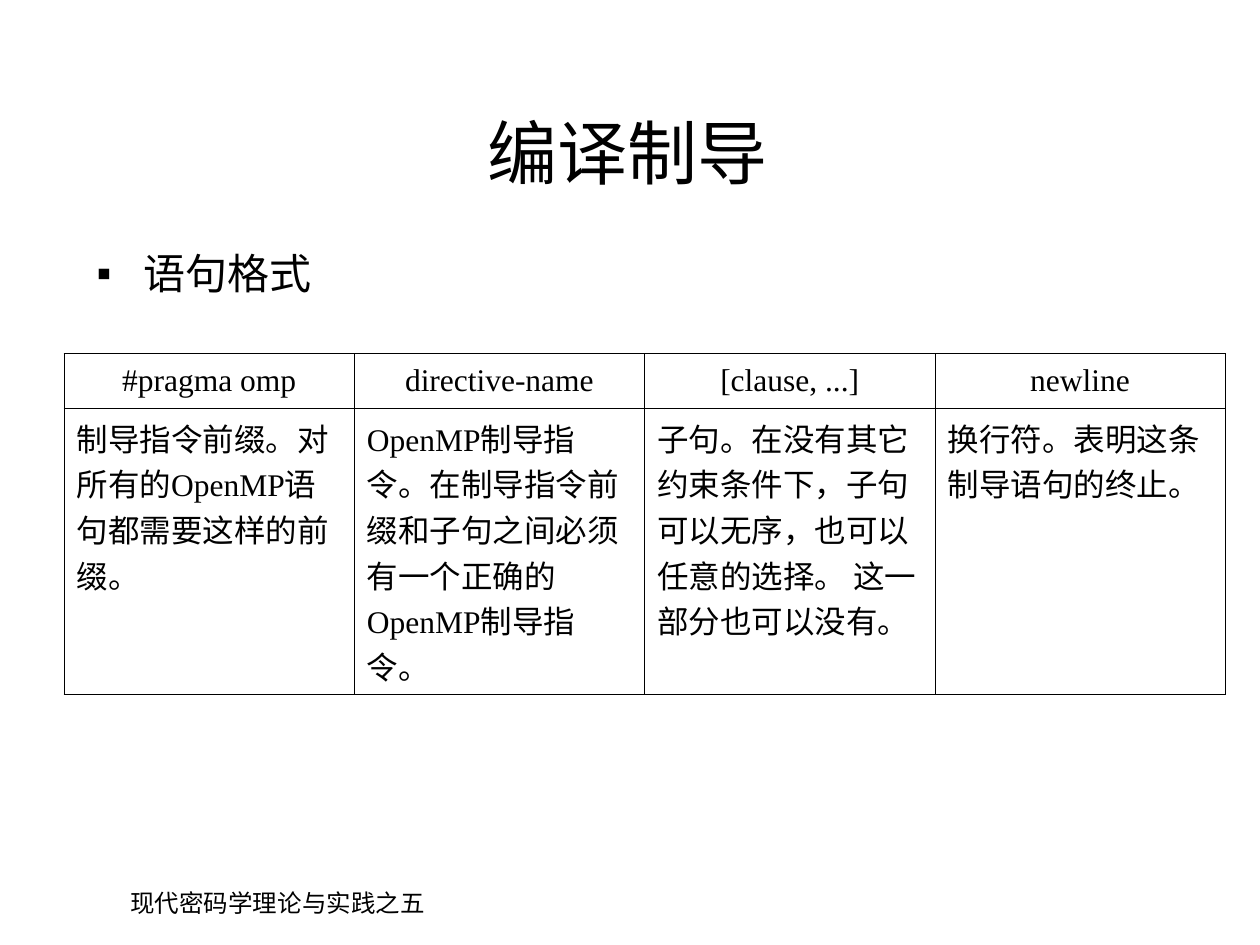
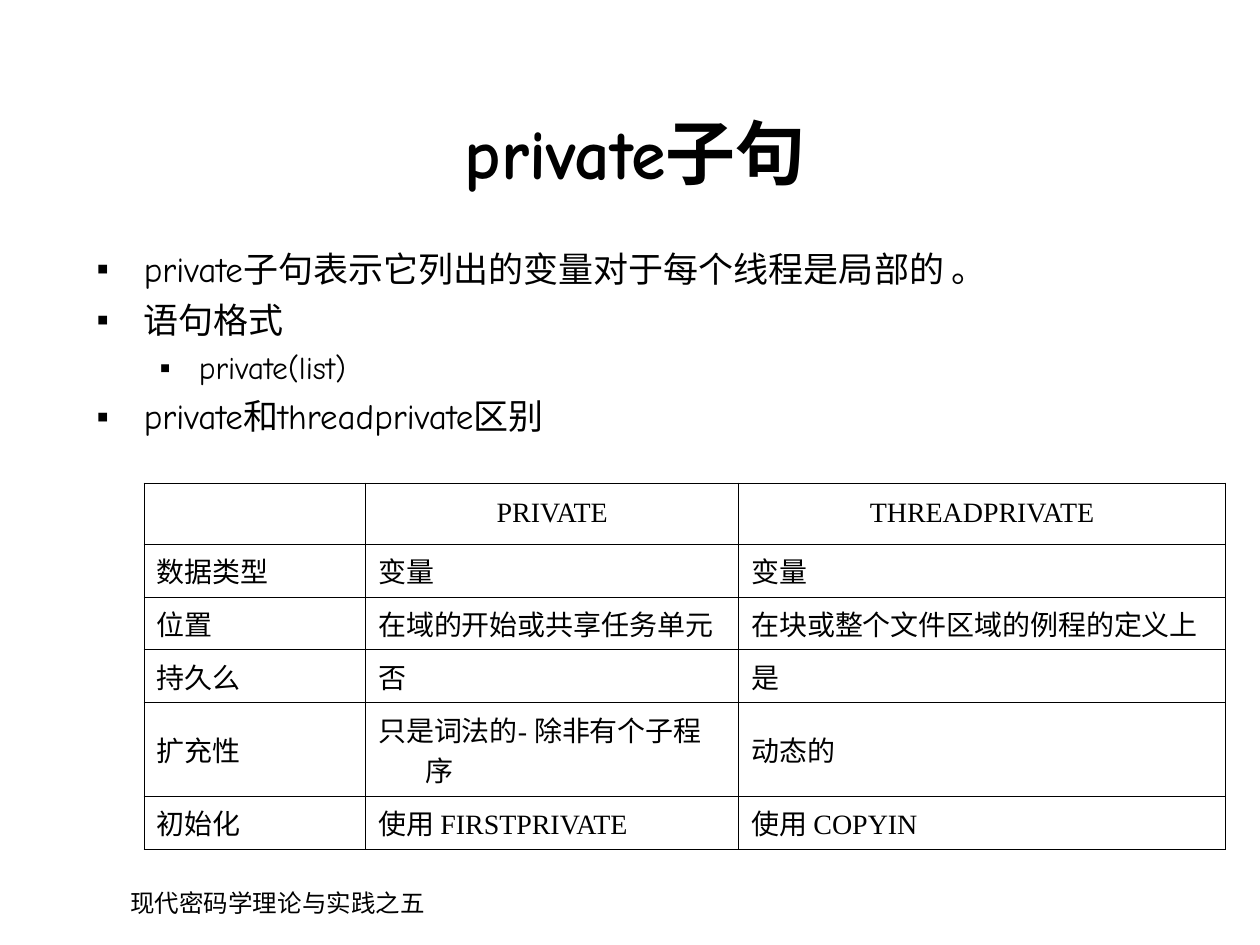
"""Builds two slides on compiler directives and the private clause."""
from dataclasses import dataclass

from lxml.etree import SubElement
from pptx import Presentation
from pptx.dml.color import RGBColor
from pptx.enum.lang import MSO_LANGUAGE_ID
from pptx.enum.text import MSO_ANCHOR, MSO_AUTO_SIZE, PP_ALIGN
from pptx.oxml.ns import qn
from pptx.util import Inches, Pt


@dataclass(frozen=True)
class Theme:
    ink: str = "000000"
    paper: str = "FFFFFF"
    sans: str = "Comic Neue"
    serif: str = "Times New Roman"
    title: float = 40
    foot: float = 14
    rule: float = 0.45
    bullet: str = "▪"
    hang: float = 4.5


@dataclass(frozen=True)
class Box:
    left: float
    top: float
    width: float
    height: float


@dataclass(frozen=True)
class Item:
    text: str
    size: float
    level: int = 0


@dataclass(frozen=True)
class Grid:
    box: Box
    cols: list[float]
    rows: list[float]
    size: float
    anchor: MSO_ANCHOR
    cells: list[list[str]]


@dataclass(frozen=True)
class Page:
    title: str
    bold: bool
    width: float
    items: list[Item]
    grid: Grid


THEME = Theme()
COLS, ROWS = 120, 90
WIDE, HIGH = Inches(10), Inches(7.5)
UNIT = WIDE / COLS
TITLE = Box(9, 9, 103, 10)
FOOT = Box(1, 84, 48, 6)
LEVELS = [(4.5, -4.5), (9.75, -3.75)]

PAGES = [
    Page("编译制导 ", False, 50.5, [Item("语句格式", 24)], Grid(
        Box(6.1, 33.7, 110.6, 29.3), [1, 1, 1, 1], [5.2, 24.1], 18, MSO_ANCHOR.TOP, [
            ["#pragma omp", "directive-name", "[clause, ...]", "newline"],
            ["制导指令前缀。对\n所有的OpenMP语\n句都需要这样的前\n缀。",
             "OpenMP制导指\n令。在制导指令前\n缀和子句之间必须\n有一个正确的\nOpenMP制导指\n令。",
             "子句。在没有其它\n约束条件下，子句\n可以无序，也可以\n任意的选择。 这一\n部分也可以没有。",
             "换行符。表明这条\n制导语句的终止。"],
        ])),
    Page("private子句", True, 104, [
        Item("private子句表示它列出的变量对于每个线程是局部的 。", 20),
        Item("语句格式", 20),
        Item("private(list)", 18, 1),
        Item("private和threadprivate区别", 20),
    ], Grid(
        Box(13.7, 46, 103, 30.9), [1.76, 2.96, 3.86], [5.8, 4.4, 4.4, 4.4, 7.7, 4.4],
        16, MSO_ANCHOR.MIDDLE, [
            ["", "PRIVATE", "THREADPRIVATE"],
            ["数据类型", "变量", "变量"],
            ["位置", "在域的开始或共享任务单元", "在块或整个文件区域的例程的定义上"],
            ["持久么", "否", "是"],
            ["扩充性", "只是词法的- 除非有个子程序", "动态的"],
            ["初始化", "使用 FIRSTPRIVATE", "使用 COPYIN"],
        ])),
]


def span(count: float) -> int:
    """Turn grid units into a length."""
    return round(count * UNIT)


def place(shape, box: Box) -> None:
    """Set a shape on the grid."""
    shape.left, shape.top = span(box.left), span(box.top)
    shape.width, shape.height = span(box.width), span(box.height)


def write(para, text: str, *, size: float, font: str, bold: bool = False,
          align: PP_ALIGN = PP_ALIGN.LEFT, margin: float = 0, indent: float = 0,
          before: float = 0, bullet: str = "") -> None:
    """Fill a paragraph with formatted text."""
    para.alignment = align
    para.space_before = Pt(before)
    props = para._p.get_or_add_pPr()
    props.set("marL", str(span(margin)))
    props.set("indent", str(span(indent)))
    if bullet:
        tint = SubElement(props, qn("a:buClr"))
        SubElement(tint, qn("a:srgbClr"), val=THEME.ink)
        SubElement(props, qn("a:buChar"), char=bullet)
    if text:
        run = para.add_run()
        run.text = text
        face = run.font
        face.size, face.name, face.bold = Pt(size), font, bold
        face.color.rgb = RGBColor.from_string(THEME.ink)
        face.language_id = MSO_LANGUAGE_ID.SIMPLIFIED_CHINESE


def lines(frame, count: int) -> list:
    """Give a frame the wanted number of paragraphs."""
    return [frame.paragraphs[0]] + [frame.add_paragraph() for _ in range(count - 1)]


def ready(frame, anchor: MSO_ANCHOR) -> None:
    """Set wrapping and anchoring of a frame."""
    frame.word_wrap = True
    frame.auto_size = MSO_AUTO_SIZE.NONE
    frame.vertical_anchor = anchor


def edge(cell) -> None:
    """Draw thin rules round a cell and clear its fill."""
    props = cell._tc.get_or_add_tcPr()
    for side in ("lnL", "lnR", "lnT", "lnB"):
        rule = SubElement(props, qn(f"a:{side}"), w=str(Pt(THEME.rule)))
        SubElement(SubElement(rule, qn("a:solidFill")), qn("a:srgbClr"), val=THEME.ink)
    cell.fill.background()


def draw_grid(slide, grid: Grid) -> None:
    """Add a ruled table with a centred head row."""
    box = grid.box
    table = slide.shapes.add_table(
        len(grid.rows), len(grid.cols), span(box.left), span(box.top),
        span(box.width), span(box.height)).table
    table.first_row = table.horz_banding = False
    for col, share in zip(table.columns, grid.cols):
        col.width = span(box.width * share / sum(grid.cols))
    for row, (line, high) in enumerate(zip(grid.cells, grid.rows)):
        table.rows[row].height = span(high)
        for col, text in enumerate(line):
            cell = table.cell(row, col)
            edge(cell)
            cell.vertical_anchor = grid.anchor if row else MSO_ANCHOR.MIDDLE
            parts = text.split("\n")
            for para, part in zip(lines(cell.text_frame, len(parts)), parts):
                write(para, part, size=grid.size, font=THEME.serif,
                      align=PP_ALIGN.LEFT if row else PP_ALIGN.CENTER,
                      margin=THEME.hang, indent=-THEME.hang)


def draw_list(shape, items: list[Item]) -> None:
    """Fill the body with bulleted items."""
    ready(shape.text_frame, MSO_ANCHOR.TOP)
    for para, item in zip(lines(shape.text_frame, len(items)), items):
        para.level = item.level
        margin, indent = LEVELS[item.level]
        write(para, item.text, size=item.size, font=THEME.sans, margin=margin,
              indent=indent, before=item.size / 4, bullet=THEME.bullet)


def draw_foot(slide) -> None:
    """Add the footer line."""
    shape = slide.shapes.add_textbox(0, 0, 0, 0)
    place(shape, FOOT)
    ready(shape.text_frame, MSO_ANCHOR.TOP)
    write(shape.text_frame.paragraphs[0], "现代密码学理论与实践之五", size=THEME.foot,
          font=THEME.serif, align=PP_ALIGN.CENTER, margin=2.9)


def draw_page(deck, page: Page) -> None:
    """Add one whole slide."""
    slide = deck.slides.add_slide(deck.slide_layouts[1])
    slide.background.fill.solid()
    slide.background.fill.fore_color.rgb = RGBColor.from_string(THEME.paper)
    title, body = slide.shapes.title, slide.placeholders[1]
    place(title, TITLE)
    ready(title.text_frame, MSO_ANCHOR.BOTTOM)
    write(title.text_frame.paragraphs[0], page.title, size=THEME.title,
          font=THEME.sans, bold=page.bold, align=PP_ALIGN.CENTER)
    place(body, Box(8, 23, page.width, 60))
    draw_list(body, page.items)
    draw_grid(slide, page.grid)
    draw_foot(slide)


def main() -> None:
    """Build and save the deck."""
    deck = Presentation()
    deck.slide_width, deck.slide_height = WIDE, HIGH
    for page in PAGES:
        draw_page(deck, page)
    deck.save("out.pptx")


if __name__ == "__main__":
    main()
